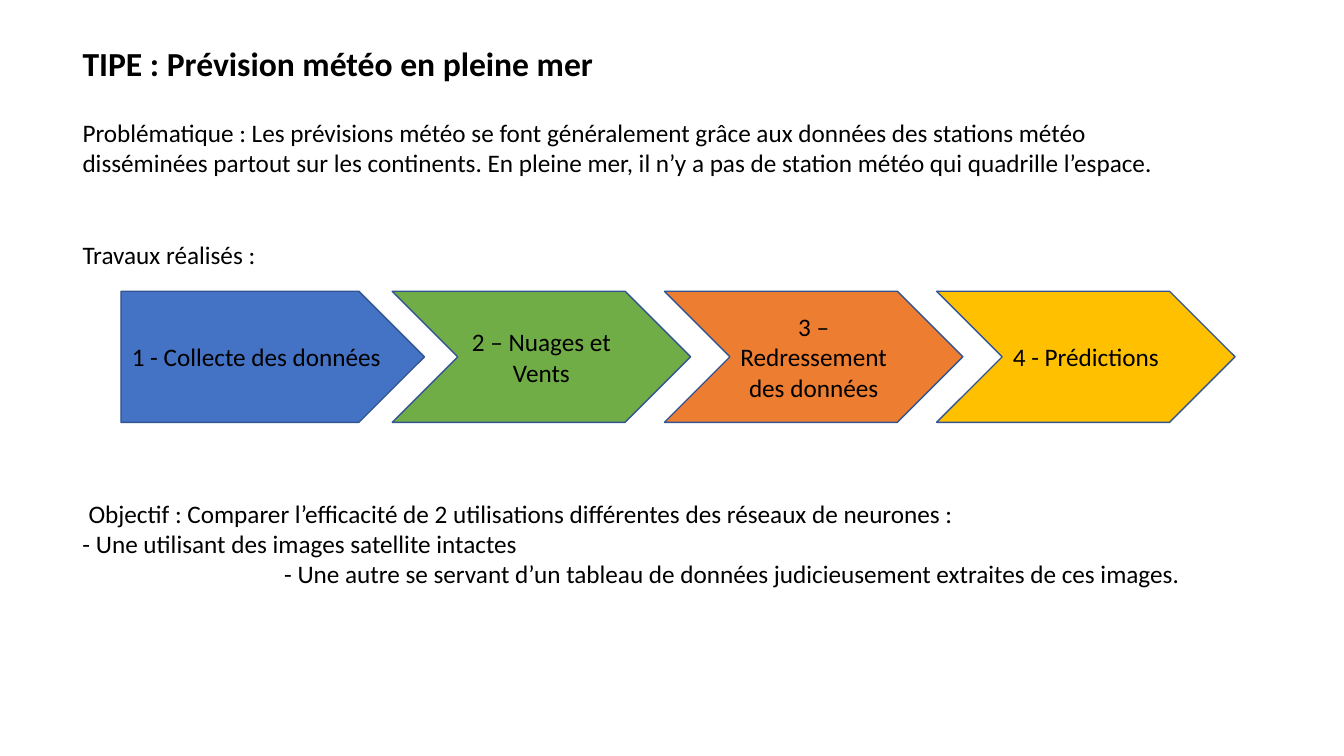
"""Build the slide on weather forecasts at sea."""
from dataclasses import dataclass

from pptx import Presentation
from pptx.dml.color import RGBColor
from pptx.enum.shapes import MSO_SHAPE
from pptx.enum.text import MSO_ANCHOR, PP_ALIGN
from pptx.slide import Slide
from pptx.text.text import TextFrame
from pptx.util import Inches, Pt

COLORS = {
    "ink": "000000",
    "edge": "325491",
    "blue": "4472C4",
    "green": "70AD47",
    "orange": "ED7D31",
    "gold": "FFC000",
}
FONT = "Calibri"
LEFT = 0.72
TOP, HEIGHT = 2.89, 1.3
FIRST, PITCH, WIDTH = 3.89, 2.7, 2.96


@dataclass
class Line:
    text: str
    before: float = 0
    margin: float = 0
    indent: float = 0


@dataclass
class Block:
    top: float
    width: float
    height: float
    lines: list[Line]
    size: float = 18
    bold: bool = False


@dataclass
class Step:
    text: str
    color: str
    left: float
    width: float = WIDTH
    kind: MSO_SHAPE = MSO_SHAPE.CHEVRON


BLOCKS = [
    Block(0.38, 11.95, 0.5, [Line("TIPE : Prévision météo en pleine mer")], 24, True),
    Block(1.11, 11.15, 1.62, [
        Line("Problématique : Les prévisions météo se font généralement grâce aux "
             "données des stations météo disséminées partout sur les continents. "
             "En pleine mer, il n’y a pas de station météo qui quadrille l’espace."),
        Line("Travaux réalisés :", before=44),
    ]),
    Block(4.89, 11.53, 1.01, [
        Line("Objectif : Comparer l’efficacité de 2 utilisations différentes des "
             "réseaux de neurones :\v- Une utilisant des images satellite intactes",
             indent=0.06),
        Line("- Une autre se servant d’un tableau de données judicieusement "
             "extraites de ces images.", margin=2),
    ]),
]

STEPS = [
    Step("1 - Collecte des données", "blue", 1.2, 3.01, MSO_SHAPE.PENTAGON),
    Step("2 – Nuages et Vents", "green", FIRST),
    Step("3 – Redressement des données", "orange", FIRST + PITCH),
    Step("4 - Prédictions", "gold", FIRST + 2 * PITCH),
]


def paint(name: str) -> RGBColor:
    """Return the named colour."""
    return RGBColor.from_string(COLORS[name])


def style(frame: TextFrame, size: float = 18, bold: bool = False) -> None:
    """Set the font of every run in a frame."""
    for para in frame.paragraphs:
        for run in para.runs:
            run.font.name = FONT
            run.font.size = Pt(size)
            run.font.bold = bold
            run.font.color.rgb = paint("ink")


def write(slide: Slide, block: Block) -> None:
    """Draw a block of text."""
    box = slide.shapes.add_textbox(
        Inches(LEFT), Inches(block.top), Inches(block.width), Inches(block.height))
    frame = box.text_frame
    frame.word_wrap = True
    for rank, line in enumerate(block.lines):
        para = frame.add_paragraph() if rank else frame.paragraphs[0]
        para.text = line.text
        if line.before:
            para.space_before = Pt(line.before)
        if line.margin or line.indent:
            props = para._p.get_or_add_pPr()
            props.set("marL", str(Inches(line.margin)))
            props.set("indent", str(Inches(line.indent)))
    style(frame, block.size, block.bold)


def draw(slide: Slide, step: Step) -> None:
    """Draw one arrow of the process."""
    arrow = slide.shapes.add_shape(
        step.kind, Inches(step.left), Inches(TOP), Inches(step.width), Inches(HEIGHT))
    arrow.shadow.inherit = False
    arrow.fill.solid()
    arrow.fill.fore_color.rgb = paint(step.color)
    arrow.line.color.rgb = paint("edge")
    arrow.line.width = Pt(1)
    frame = arrow.text_frame
    frame.word_wrap = True
    frame.vertical_anchor = MSO_ANCHOR.MIDDLE
    frame.margin_left = frame.margin_right = Inches(0.04)
    frame.margin_top = frame.margin_bottom = Inches(0.05)
    frame.text = step.text
    frame.paragraphs[0].alignment = PP_ALIGN.CENTER
    style(frame)


def main() -> None:
    """Build and save the deck."""
    deck = Presentation()
    deck.slide_width, deck.slide_height = Inches(13.33), Inches(7.5)
    slide = deck.slides.add_slide(deck.slide_layouts[6])
    for block in BLOCKS:
        write(slide, block)
    for step in STEPS:
        draw(slide, step)
    deck.save("out.pptx")


if __name__ == "__main__":
    main()
